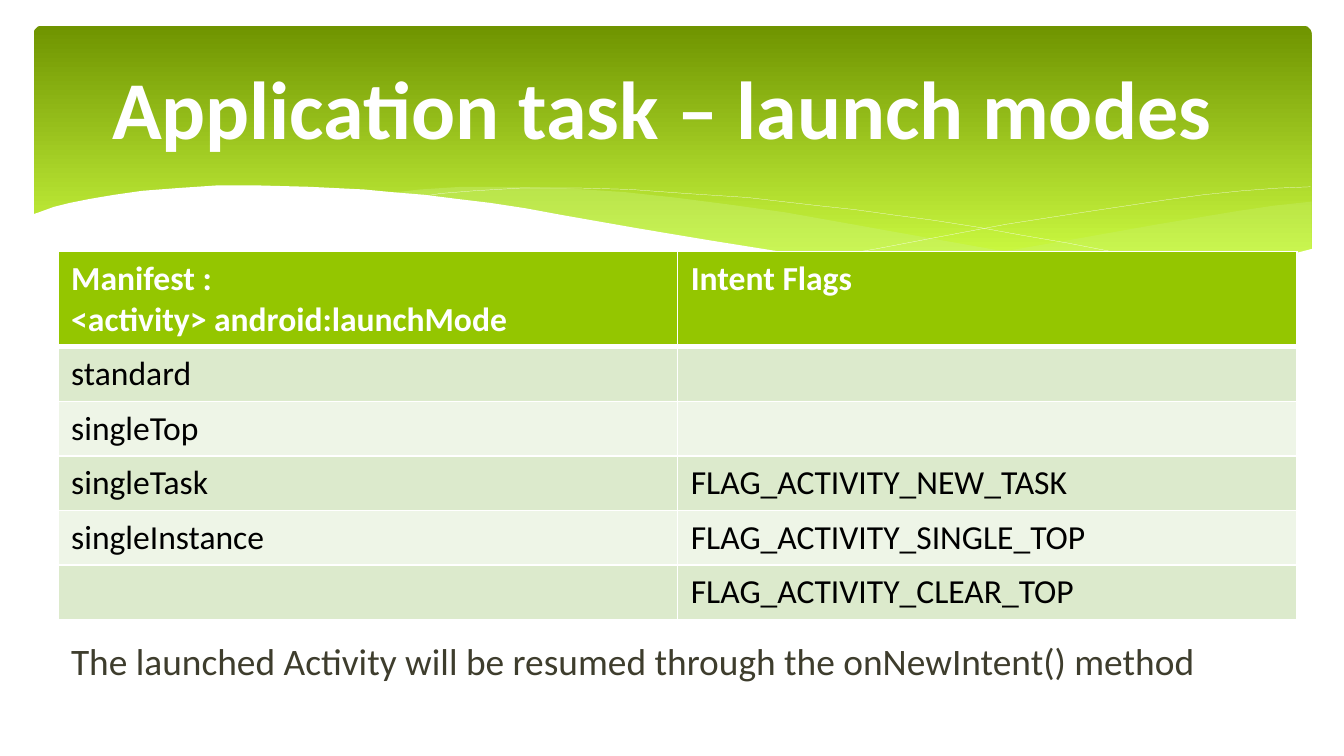
"""Build the slide on launch modes of an application task."""
from pptx import Presentation
from pptx.dml.color import RGBColor
from pptx.enum.shapes import MSO_SHAPE
from pptx.enum.text import MSO_ANCHOR, PP_ALIGN
from pptx.oxml import parse_xml
from pptx.oxml.ns import nsdecls
from pptx.util import Inches, Pt

WHITE = RGBColor(0xFF, 0xFF, 0xFF)
BLACK = RGBColor(0x00, 0x00, 0x00)
DARK = RGBColor(0x3E, 0x3D, 0x2D)
GREEN = RGBColor(0x94, 0xC6, 0x00)
DEEP = RGBColor(0x6F, 0x94, 0x00)
LIME = RGBColor(0xD0, 0xFF, 0x44)
PALE = RGBColor(0xCA, 0xF2, 0x78)
BANDS = (RGBColor(0xDC, 0xEA, 0xCC), RGBColor(0xEE, 0xF5, 0xE7))

TITLE = {"size": Pt(44), "bold": True, "name": "Calibri"}
HEAD = {"size": Pt(18), "bold": True, "name": "Calibri"}
BODY = {"size": Pt(18), "bold": False, "name": "Calibri"}
NOTE = {"size": Pt(20), "bold": False, "name": "Calibri"}

ROWS = [
    ("Manifest :\n<activity> android:launchMode", "Intent Flags"),
    ("standard", ""),
    ("singleTop", ""),
    ("singleTask", "FLAG_ACTIVITY_NEW_TASK"),
    ("singleInstance", "FLAG_ACTIVITY_SINGLE_TOP"),
    ("", "FLAG_ACTIVITY_CLEAR_TOP"),
]

RIGHT = [
    (9.76, 1.5), (9.48, 1.53), (9.21, 1.57), (8.91, 1.62), (8.61, 1.67),
    (8.05, 1.77), (7.53, 1.86), (7.06, 1.93), (6.61, 1.99), (6.91, 2.02),
    (7.32, 2.05), (7.69, 2.07), (8.03, 2.08), (8.35, 2.08), (8.63, 2.06),
    (8.89, 2.04), (9.13, 2), (9.35, 1.96), (9.63, 1.89), (9.76, 1.85),
]
BROAD = [
    (8.93, 2.04), (8.66, 2.02), (8.07, 1.95), (7.41, 1.86), (6.68, 1.73),
    (6.29, 1.66), (5.84, 1.58), (5.41, 1.52), (5.02, 1.47), (4.65, 1.43),
    (4.2, 1.4), (3.8, 1.39), (3.44, 1.39), (3.13, 1.41), (2.86, 1.44),
    (3.23, 1.47), (3.62, 1.52), (4.04, 1.58), (4.49, 1.66), (5.3, 1.8),
    (6.01, 1.91), (6.5, 1.98), (6.95, 2.03), (7.36, 2.06), (7.73, 2.08),
    (8.07, 2.09), (8.38, 2.08), (8.67, 2.07),
]
FALL = [
    (3.09, 1.47), (3.28, 1.44), (3.53, 1.42), (3.87, 1.4), (4.33, 1.4),
    (4.69, 1.41), (5.1, 1.44), (5.56, 1.47), (5.82, 1.5), (6.08, 1.53),
    (6.36, 1.56), (6.65, 1.6), (6.95, 1.64), (7.27, 1.69), (7.6, 1.75),
    (7.95, 1.81), (8.31, 1.88), (8.69, 1.95), (9.07, 2.04),
]
RISE = [
    (6.13, 1.92), (6.53, 1.85), (6.95, 1.77), (7.48, 1.67), (8.06, 1.58),
    (8.66, 1.49), (8.95, 1.45), (9.24, 1.42), (9.51, 1.4), (9.75, 1.39),
]
FRONT = [
    (9.77, 1.85), (9.5, 1.92), (9.2, 1.99), (8.87, 2.03), (8.5, 2.06),
    (8.09, 2.07), (7.61, 2.06), (7.08, 2.03), (6.68, 1.99), (6.26, 1.94),
    (5.79, 1.87), (5.29, 1.79), (4.75, 1.7), (4.18, 1.6), (3.91, 1.55),
    (3.65, 1.51), (3.4, 1.48), (3.16, 1.45), (2.92, 1.43), (2.71, 1.41),
    (2.3, 1.39), (1.93, 1.38), (1.61, 1.38), (1.32, 1.4), (1.06, 1.42),
    (0.85, 1.45), (0.67, 1.48), (0.52, 1.51), (0.4, 1.54), (0.29, 1.58),
    (0.23, 1.6), (0.23, 2.47), (9.77, 2.47),
]


def style(font, form, tint):
    for key, value in form.items():
        setattr(font, key, value)
    font.color.rgb = tint


def write(frame, text, form, tint):
    frame.text = text
    for para in frame.paragraphs:
        style(para.font, form, tint)
        for run in para.runs:
            style(run.font, form, tint)


def add_text(slide, box, text, form, tint):
    frame = slide.shapes.add_textbox(*map(Inches, box)).text_frame
    frame.word_wrap = True
    write(frame, text, form, tint)
    return frame


def add_panel(slide):
    box = map(Inches, (0.25, 0.19, 9.51, 2.02))
    panel = slide.shapes.add_shape(MSO_SHAPE.ROUNDED_RECTANGLE, *box)
    panel.shadow.inherit = False
    panel.adjustments[0] = 0.03
    panel.line.fill.background()
    panel.fill.gradient()
    panel.fill.gradient_angle = 270
    for stop, place, tint in zip(panel.fill.gradient_stops, (0, 0.9), (DEEP, LIME)):
        stop.position = place
        stop.color.rgb = tint


def add_path(slide, points, close):
    spots = [(Inches(x), Inches(y)) for x, y in points]
    pen = slide.shapes.build_freeform(*spots[0])
    pen.add_line_segments(spots[1:], close=close)
    path = pen.convert_to_shape()
    path.shadow.inherit = False
    return path


def add_wave(slide, points, tint, alpha=100):
    wave = add_path(slide, points, True)
    wave.line.fill.background()
    wave.fill.solid()
    wave.fill.fore_color.rgb = tint
    if alpha < 100:
        clear = parse_xml(f'<a:alpha {nsdecls("a")} val="{alpha * 1000}"/>')
        wave.fill._xPr.find(".//{*}srgbClr").append(clear)


def add_curve(slide, points):
    curve = add_path(slide, points, False)
    curve.fill.background()
    curve.line.color.rgb = WHITE
    curve.line.width = Pt(0.1)


def add_edge(cell, side, width):
    cell._tc.get_or_add_tcPr().append(parse_xml(
        f'<a:ln{side} {nsdecls("a")} w="{Pt(width)}"><a:solidFill>'
        f'<a:srgbClr val="{WHITE}"/></a:solidFill></a:ln{side}>'))


def fill_cell(cell, text, row):
    for side in "LRTB":
        thick = (row, side) in ((0, "B"), (1, "T"))
        add_edge(cell, side, 3 if thick else 1)
    cell.fill.solid()
    cell.fill.fore_color.rgb = BANDS[(row - 1) % 2] if row else GREEN
    form, tint = (BODY, BLACK) if row else (HEAD, WHITE)
    write(cell.text_frame, text, form, tint)


def add_grid(slide):
    box = map(Inches, (0.43, 1.87, 9.22, 2.73))
    grid = slide.shapes.add_table(len(ROWS), 2, *box).table
    for row, texts in enumerate(ROWS):
        grid.rows[row].height = Inches(0.4 if row else 0.7)
        for col, text in enumerate(texts):
            fill_cell(grid.cell(row, col), text, row)


def main():
    deck = Presentation()
    deck.slide_width = Inches(10)
    deck.slide_height = deck.slide_width * 9 // 16
    slide = deck.slides.add_slide(deck.slide_layouts[6])
    add_panel(slide)
    add_wave(slide, RIGHT, PALE, 29)
    add_wave(slide, BROAD, PALE, 40)
    add_curve(slide, FALL)
    add_curve(slide, RISE)
    add_wave(slide, FRONT, WHITE)
    add_grid(slide)
    title = add_text(slide, (0.5, 0.28, 9, 1.03),
                     "Application task – launch modes ", TITLE, WHITE)
    title.vertical_anchor = MSO_ANCHOR.MIDDLE
    title.paragraphs[0].alignment = PP_ALIGN.CENTER
    note = add_text(slide, (0.43, 4.7, 9.21, 0.63),
                    "The launched Activity will be resumed through the "
                    "onNewIntent() method", NOTE, DARK)
    note.paragraphs[0].space_before = Pt(4)
    deck.save("out.pptx")


if __name__ == "__main__":
    main()
